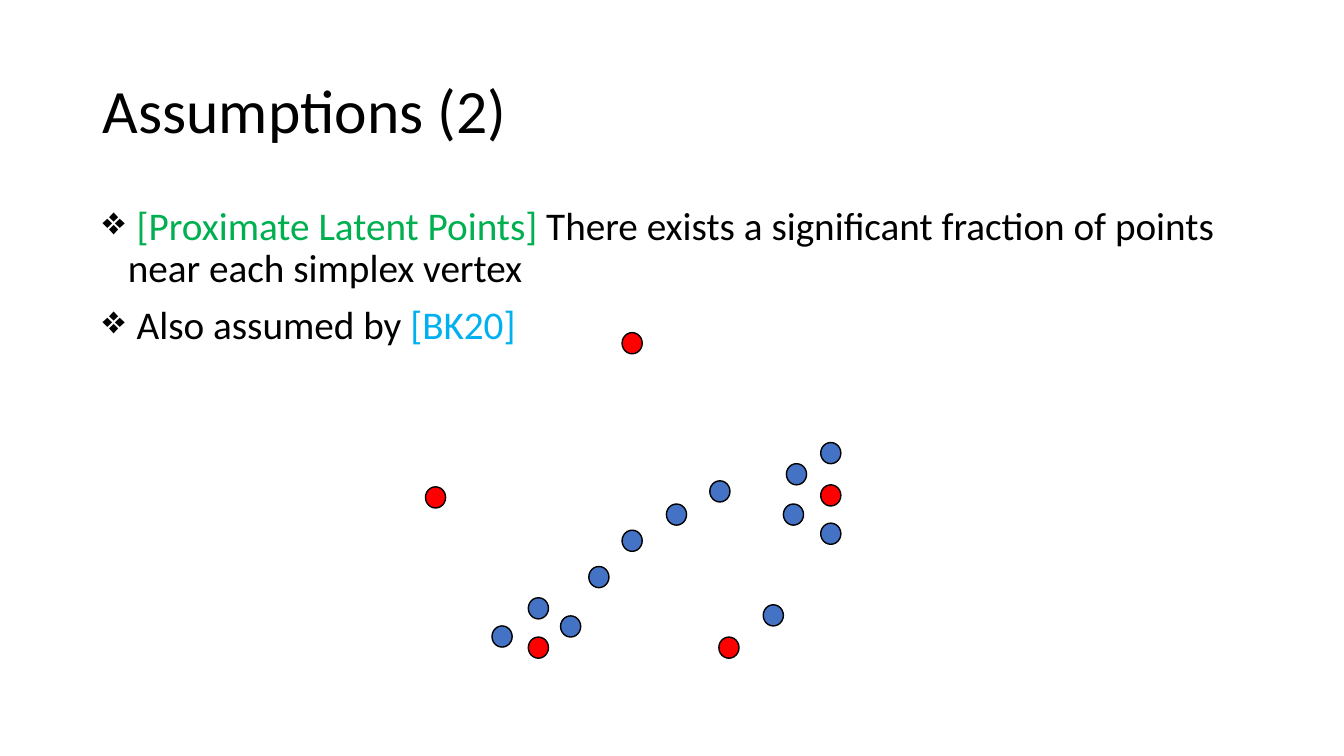
"""Build the "Assumptions (2)" slide: two bullets above a scatter of latent points."""
from lxml.etree import SubElement
from pptx import Presentation
from pptx.dml.color import RGBColor
from pptx.enum.shapes import MSO_SHAPE
from pptx.enum.text import MSO_ANCHOR, PP_ALIGN
from pptx.oxml.ns import qn
from pptx.util import Inches, Pt

COLOURS = {
    "text": "000000",
    "term": "00B050",
    "citation": "00B0F0",
    "vertex": "FF0000",
    "point": "4472C4",
}
FONT = "Calibri"
TITLE = "Assumptions (2)"
BULLETS = [
    [
        (" ", "text"),
        ("[Proximate Latent Points] ", "term"),
        ("There exists a significant fraction of points near each simplex vertex", "text"),
    ],
    [(" Also assumed by ", "text"), ("[BK20]", "citation")],
]
DOTS = {
    "vertex": [(6.17, 3.3), (4.22, 4.83), (5.24, 6.32), (7.13, 6.32), (8.14, 4.81)],
    "point": [
        (7.8, 4.6), (7.77, 5), (8.14, 4.39), (8.14, 5.19), (7.57, 6), (5.56, 6.11),
        (5.24, 5.93), (4.88, 6.21), (5.84, 5.62), (6.17, 5.26), (6.61, 5), (7.04, 4.77),
    ],
}
DOT_SIZE = (0.2, 0.21)
TITLE_AREA = (0.92, 0.4, 11.5, 1.45)
BODY_AREA = (0.92, 2, 11.5, 2.42)
INDENT = Inches(0.25)


def colour(name):
    return RGBColor.from_string(COLOURS[name])


def style(para, size):
    para.alignment = PP_ALIGN.LEFT
    para.line_spacing = 0.9
    para.font.name = FONT
    para.font.size = Pt(size)


def add_title(page):
    title = page.shapes.title
    title.left, title.top, title.width, title.height = map(Inches, TITLE_AREA)
    frame = title.text_frame
    frame.text = TITLE
    frame.vertical_anchor = MSO_ANCHOR.MIDDLE
    para = frame.paragraphs[0]
    style(para, 44)
    para.font.color.rgb = colour("text")


def add_bullets(page):
    frame = page.shapes.add_textbox(*map(Inches, BODY_AREA)).text_frame
    frame.word_wrap = True
    for index, spans in enumerate(BULLETS):
        para = frame.add_paragraph() if index else frame.paragraphs[0]
        properties = para._p.get_or_add_pPr()
        properties.set("marL", str(INDENT))
        properties.set("indent", str(-INDENT))
        SubElement(properties, qn("a:buChar")).set("char", "❖")
        style(para, 28)
        if index:
            para.space_before = Pt(10)
        for words, name in spans:
            span = para.add_run()
            span.text = words
            span.font.color.rgb = colour(name)


def add_dots(page):
    for name, places in DOTS.items():
        for place in places:
            dot = page.shapes.add_shape(MSO_SHAPE.OVAL, *map(Inches, place + DOT_SIZE))
            dot.shadow.inherit = False
            dot.fill.solid()
            dot.fill.fore_color.rgb = colour(name)
            dot.line.color.rgb = colour("text")
            dot.line.width = Pt(1)


def main():
    deck = Presentation()
    deck.slide_width, deck.slide_height = Inches(13.33), Inches(7.5)
    page = deck.slides.add_slide(deck.slide_layouts[5])
    add_title(page)
    add_bullets(page)
    add_dots(page)
    deck.save("out.pptx")


if __name__ == "__main__":
    main()
